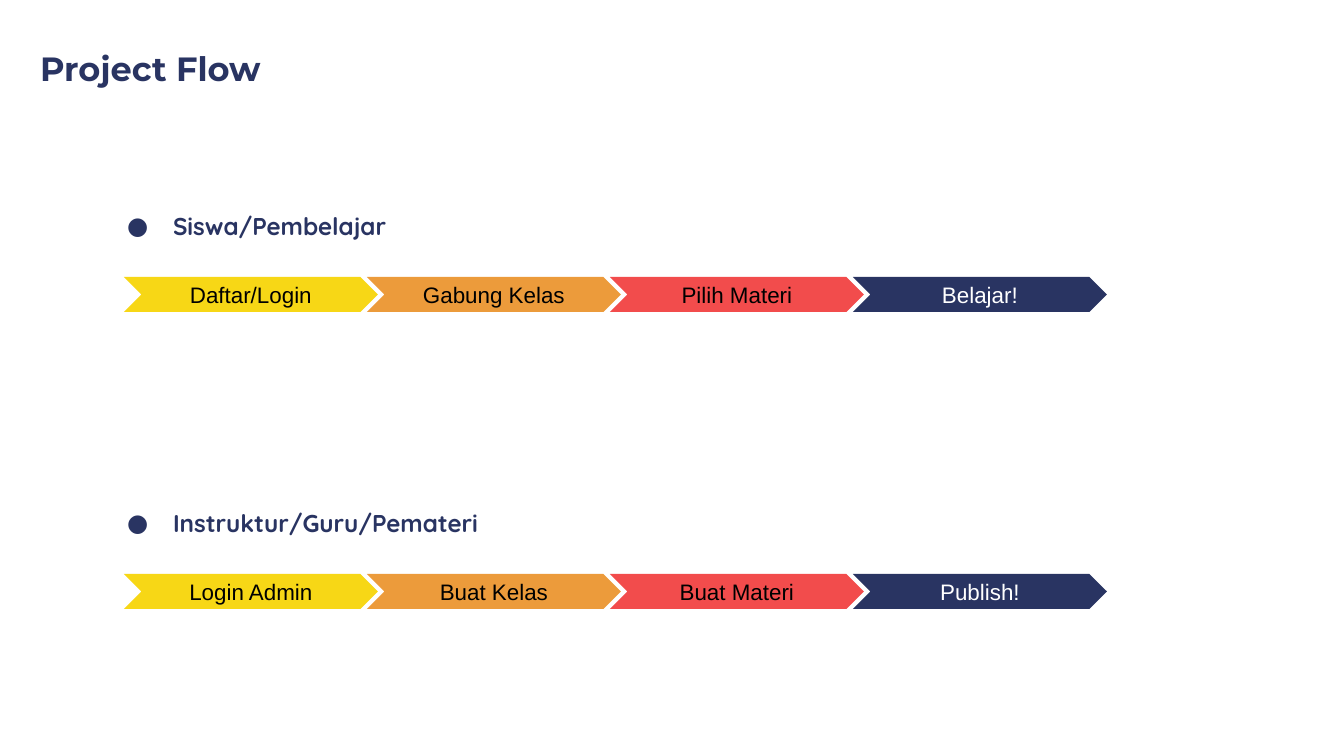
from lxml import etree
from pptx import Presentation
from pptx.dml.color import RGBColor
from pptx.enum.shapes import MSO_SHAPE
from pptx.enum.text import MSO_ANCHOR, MSO_AUTO_SIZE, PP_ALIGN
from pptx.oxml.ns import qn
from pptx.util import Emu, Pt

CHEVRON = MSO_SHAPE.CHEVRON
TOP, MIDDLE = MSO_ANCHOR.TOP, MSO_ANCHOR.MIDDLE
LEFT, CENTER = PP_ALIGN.LEFT, PP_ALIGN.CENTER
NO_AUTOFIT = MSO_AUTO_SIZE.NONE

EMU_PER_PX = 914400 / 134.4
TWO_CONTENT_LAYOUT = 3
NAVY, BLACK, WHITE = "293462", "000000", "FFFFFF"
STEP_COLOURS = [("F7D716", BLACK), ("EC9B3B", BLACK), ("F24C4C", BLACK), (NAVY, WHITE)]
FLOWS = [
    ("Siswa/Pembelajar", ["Daftar/Login", "Gabung Kelas", "Pilih Materi", "Belajar!"]),
    ("Instruktur/Guru/Pemateri", ["Login Admin", "Buat Kelas", "Buat Materi", "Publish!"]),
]
FLOW_PITCH = 297
STEP_PITCH = 243


def px(length):
    return Emu(round(length * EMU_PER_PX))


def colour(hex_code):
    return RGBColor.from_string(hex_code)


def place(box, left, top, width, height):
    box.left, box.top, box.width, box.height = map(px, (left, top, width, height))


def write(box, text, font, size, hex_code, bold=False, align=LEFT, anchor=TOP):
    """Put one formatted line in the box and return its paragraph."""
    frame = box.text_frame
    frame.auto_size = NO_AUTOFIT
    frame.word_wrap = True
    frame.vertical_anchor = anchor
    frame.margin_left = frame.margin_right = px(13)
    frame.margin_top = frame.margin_bottom = px(13)
    para = frame.paragraphs[0]
    para.alignment = align
    para.space_before = Pt(0)
    span = para.add_run()
    span.text = text
    span.font.name = font
    span.font.size = Pt(size)
    span.font.bold = bold
    span.font.color.rgb = colour(hex_code)
    return para


def add_bullet(para, hex_code, font):
    props = para._p.get_or_add_pPr()
    props.set("marL", str(px(67)))
    props.set("indent", str(px(-46)))
    bullet_colour = etree.SubElement(props, qn("a:buClr"))
    etree.SubElement(bullet_colour, qn("a:srgbClr"), val=hex_code)
    etree.SubElement(props, qn("a:buFont"), typeface=font)
    etree.SubElement(props, qn("a:buChar"), char="●")


def fill_title(page):
    title = page.shapes.title
    place(title, 27, 35, 1078, 67)
    write(title, "Project Flow", "Montserrat", 18, NAVY, bold=True)


def fill_heading(box, text, top):
    place(box, 93, top, 414, 56)
    para = write(box, text, "Quicksand", 13, NAVY, bold=True)
    add_bullet(para, NAVY, "Quicksand")


def add_step(page, text, left, top, fill, text_colour):
    step = page.shapes.add_shape(CHEVRON, px(left), px(top), px(254), px(35))
    step.shadow.inherit = False
    step.fill.solid()
    step.fill.fore_color.rgb = colour(fill)
    step.line.fill.background()
    write(step, text, "Arial", 12, text_colour, align=CENTER, anchor=MIDDLE)


def main():
    deck = Presentation()
    deck.slide_width, deck.slide_height = px(1344), px(756)
    page = deck.slides.add_slide(deck.slide_layouts[TWO_CONTENT_LAYOUT])
    fill_title(page)
    for row, (heading, steps) in enumerate(FLOWS):
        offset = row * FLOW_PITCH
        fill_heading(page.placeholders[row + 1], heading, 198 + offset)
        for column, (text, (fill, text_colour)) in enumerate(zip(steps, STEP_COLOURS)):
            add_step(page, text, 124 + column * STEP_PITCH, 277 + offset, fill, text_colour)
    deck.save("out.pptx")


if __name__ == "__main__":
    main()
